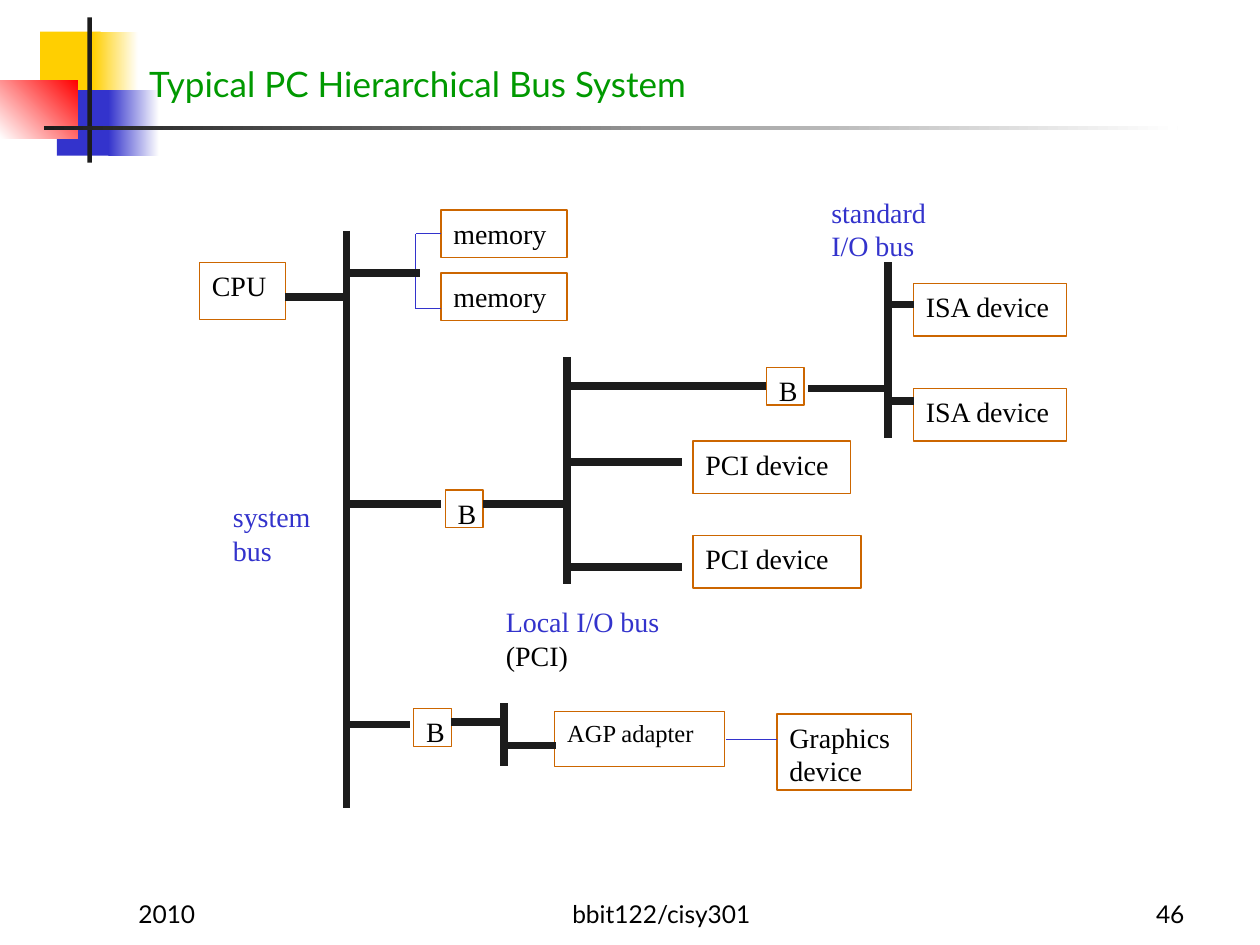
"""Builds a slide showing the hierarchical bus system of a typical PC."""
from lxml.etree import SubElement
from pptx import Presentation
from pptx.dml.color import RGBColor
from pptx.enum.shapes import MSO_CONNECTOR, MSO_SHAPE
from pptx.enum.text import MSO_ANCHOR as Anchor, MSO_AUTO_SIZE, PP_ALIGN as Align
from pptx.oxml.ns import qn
from pptx.util import Pt

INK, BLUE, ORANGE, BLACK, WHITE = "1C1C1C", "3333CC", "CC6600", "000000", "FFFFFF"
SERIF, SANS = "Times New Roman", "Lato"


def color(hex_string):
    return RGBColor.from_string(hex_string)


def write(shape, *texts, colors=(BLACK,), size=16, font=SERIF, align=Align.LEFT, anchor=Anchor.TOP):
    frame = shape.text_frame
    frame.word_wrap = True
    frame.auto_size = MSO_AUTO_SIZE.NONE
    frame.vertical_anchor = anchor
    para = frame.paragraphs[0]
    para.alignment = align
    for text, hue in zip(texts, colors):
        span = para.add_run()
        span.text = text
        span.font.size = Pt(size)
        span.font.name = font
        span.font.color.rgb = color(hue)


deck = Presentation()
deck.slide_width, deck.slide_height = Pt(720), Pt(540)
page = deck.slides.add_slide(deck.slide_layouts[5])
shapes = page.shapes

ornaments = [
    (23, 18, 34.5, 37.5, ["FFCF01"], 0),
    (53, 18, 26, 37.5, ["FFCF01", WHITE], 0),
    (32.5, 51.5, 33.5, 37.5, [BLUE], 0),
    (62, 51.5, 29, 37.5, [BLUE, WHITE], 0),
    (0, 46, 44.5, 33, ["FF0000", WHITE], 225),
    (50, 10, 2.5, 83, [INK], 0),
    (25, 72, 648, 2.5, [INK, WHITE], 0),
]
for left, top, width, height, hues, angle in ornaments:
    ornament = shapes.add_shape(MSO_SHAPE.RECTANGLE, Pt(left), Pt(top), Pt(width), Pt(height))
    ornament.shadow.inherit = False
    ornament.line.fill.background()
    if len(hues) == 1:
        ornament.fill.solid()
        ornament.fill.fore_color.rgb = color(hues[0])
    else:
        ornament.fill.gradient()
        ornament.fill.gradient_angle = angle
        for stop, hue, position in zip(ornament.fill.gradient_stops, hues, (0, 1)):
            stop.color.rgb = color(hue)
            stop.position = position

title = shapes.title
title.left, title.top, title.width, title.height = Pt(78), Pt(30), Pt(564), Pt(36)
write(title, "Typical PC Hierarchical Bus System", colors=["009900"], size=20, font=SANS, anchor=Anchor.MIDDLE)
ornament._element.addnext(title._element)

footers = [
    ("2010", 72, 150, Align.LEFT),
    ("bbit122/cisy301", 264, 228, Align.CENTER),
    ("46", 534, 150, Align.RIGHT),
]
for text, left, width, align in footers:
    footer = shapes.add_textbox(Pt(left), Pt(498), Pt(width), Pt(36))
    write(footer, text, size=14, font=SANS, align=align, anchor=Anchor.BOTTOM)

components = [
    ("cpu", "CPU", 114, 150, 49, 32.5, 16),
    ("memory 1", "memory", 252, 120, 72, 27, 16),
    ("memory 2", "memory", 252, 156, 72, 27, 16),
    ("local bridge", "B", 254.5, 280, 21.5, 21.5, 16),
    ("standard bridge", "B", 438, 210, 21.5, 21.5, 16),
    ("graphics bridge", "B", 236.5, 405, 21.5, 21.5, 16),
    ("pci 1", "PCI device", 396, 252, 90, 30, 16),
    ("pci 2", "PCI device", 396, 306, 96, 30, 16),
    ("isa 1", "ISA device", 522, 162, 87.5, 30, 16),
    ("isa 2", "ISA device", 522, 222, 87.5, 30, 16),
    ("adapter", "AGP adapter", 317, 406.5, 97, 31.5, 14),
    ("graphics", "Graphics device", 444, 408, 77, 43.5, 16),
]
boxes = {}
for name, text, left, top, width, height, size in components:
    box = shapes.add_shape(MSO_SHAPE.RECTANGLE, Pt(left), Pt(top), Pt(width), Pt(height))
    box.shadow.inherit = False
    box.fill.background()
    box.line.color.rgb = color(ORANGE)
    box.line.width = Pt(0.75)
    write(box, text, size=size)
    boxes[name] = box

buses = [
    (198, 132, 198, 462),
    (324, 204, 324, 333.5),
    (507.5, 150, 507.5, 250.5),
    (288, 402, 288, 438),
]
links = [
    (163, 169.5, 199, 169.5),
    (240, 156, 198, 156),
    (198, 288, 252, 288),
    (276, 288, 324, 288),
    (324, 220.75, 438, 220.75, "standard bridge"),
    (505.5, 222, 462, 222),
    (324, 264, 390, 264),
    (324, 324, 390, 324),
    (507.5, 174, 522, 174),
    (507.5, 229, 522, 229),
    (198, 414, 234, 414),
    (258, 412.5, 287, 412.5),
    (288, 426, 318, 426),
]
wires = [
    (237.5, 176.5, 252, 176.5),
    (237.5, 176.5, 237.5, 133.5),
    (237.5, 133.5, 252, 133.5, "memory 1"),
    (444, 422.5, 415, 422.5),
]
for lines, hue, weight in ((wires, BLUE, 0.75), (buses + links, INK, 4.5)):
    for x1, y1, x2, y2, *target in lines:
        line = shapes.add_connector(MSO_CONNECTOR.STRAIGHT, Pt(x1), Pt(y1), Pt(x2), Pt(y2))
        line.line.color.rgb = color(hue)
        line.line.width = Pt(weight)
        SubElement(line._element.spPr, qn("a:effectLst"))
        if target:
            line.end_connect(boxes[target[0]], 1)

labels = [
    (["system bus"], 126, 282, 60),
    (["Local I/O bus", " (PCI)"], 282, 342, 108),
    (["standard I/O bus"], 468, 108, 78),
]
for texts, left, top, width in labels:
    label = shapes.add_textbox(Pt(left), Pt(top), Pt(width), Pt(40.5))
    write(label, *texts, colors=[BLUE, BLACK])

deck.save("out.pptx")
